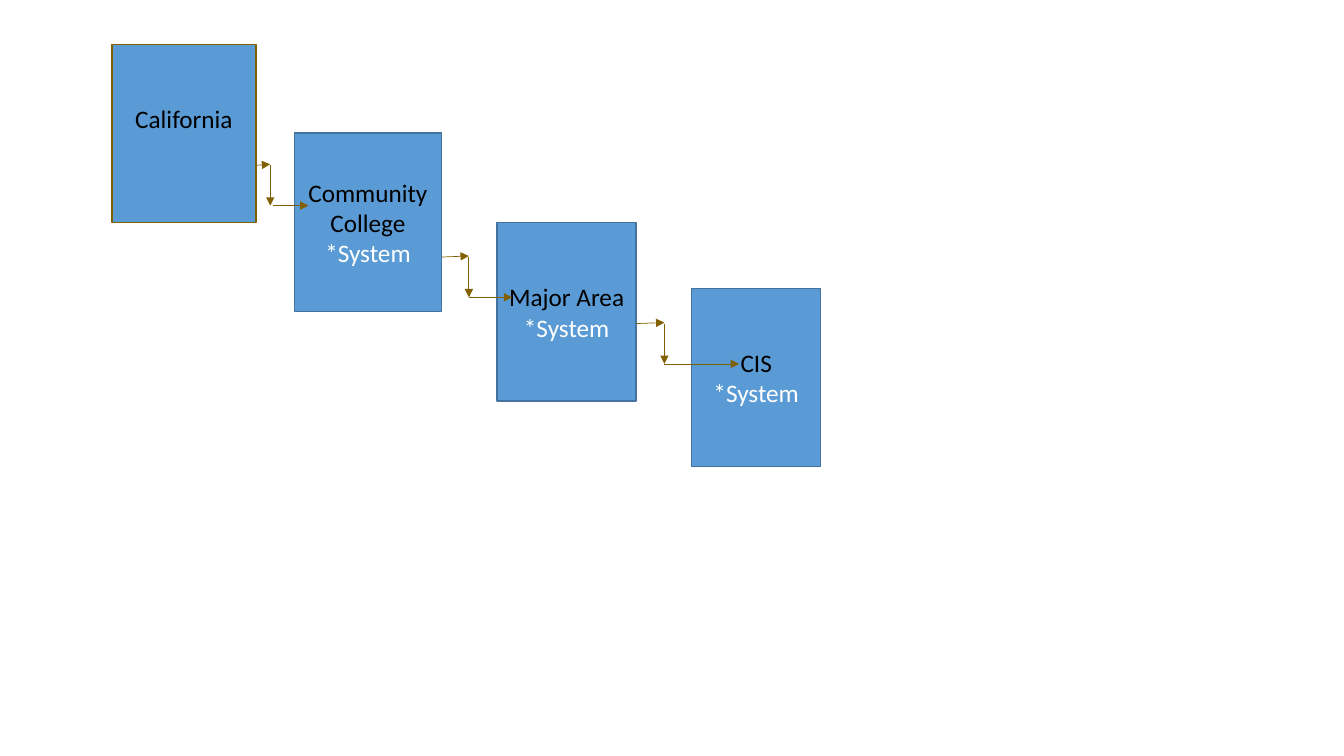
from lxml.etree import SubElement
from pptx import Presentation
from pptx.dml.color import RGBColor
from pptx.enum.shapes import MSO_CONNECTOR, MSO_SHAPE
from pptx.enum.text import MSO_ANCHOR, PP_ALIGN
from pptx.oxml.ns import qn
from pptx.util import Inches, Pt

BLUE, NAVY, BROWN = "5B9BD5", "43739E", "806000"
BLACK, WHITE = "000000", "FFFFFF"
LEVEL_HEIGHT = 1.77

# Name, left, top, width, outline, second line, bottom inset
LEVELS = [
    ("California", 1.11, 0.44, 1.43, BROWN, None, 0.35),
    ("Community College", 2.92, 1.32, 1.46, NAVY, "*System", 0.05),
    ("Major Area", 4.93, 2.21, 1.38, NAVY, "*System", 0.05),
    ("CIS", 6.86, 2.86, 1.28, NAVY, "*System", 0.05),
]

# Start x, start y, corner x, start of last leg x, tip x
STEPS = [
    (4.38, 2.55, 4.65, 4.65, 5.08),
    (6.31, 3.21, 6.59, 6.59, 7.33),
    (2.54, 1.64, 2.68, 2.71, 3.06),
]
STEP_RISE, STEP_DROP = 0.01, 0.4


def color(hex_string):
    return RGBColor.from_string(hex_string)


def add_line_of_text(paragraph, text, text_color):
    paragraph.alignment = PP_ALIGN.CENTER
    run = paragraph.add_run()
    run.text = text
    run.font.name = "Calibri"
    run.font.size = Pt(18)
    run.font.color.rgb = color(text_color)


def add_level(slide, name, left, top, width, outline, note, bottom_inset):
    level = slide.shapes.add_shape(
        MSO_SHAPE.RECTANGLE,
        Inches(left), Inches(top), Inches(width), Inches(LEVEL_HEIGHT))
    level.shadow.inherit = False
    level.fill.solid()
    level.fill.fore_color.rgb = color(BLUE)
    level.line.color.rgb = color(outline)
    level.line.width = Pt(1)
    frame = level.text_frame
    frame.word_wrap = True
    frame.vertical_anchor = MSO_ANCHOR.MIDDLE
    frame.margin_bottom = Inches(bottom_inset)
    add_line_of_text(frame.paragraphs[0], name, BLACK)
    if note:
        add_line_of_text(frame.add_paragraph(), note, WHITE)


def add_arrow(slide, x1, y1, x2, y2):
    arrow = slide.shapes.add_connector(
        MSO_CONNECTOR.STRAIGHT,
        Inches(x1), Inches(y1), Inches(x2), Inches(y2))
    arrow.line.color.rgb = color(BROWN)
    arrow.line.width = Pt(0.5)
    properties = arrow._element.spPr
    SubElement(properties.find(qn("a:ln")), qn("a:tailEnd"), type="triangle")
    SubElement(properties, qn("a:effectLst"))


def add_step(slide, start_x, start_y, corner_x, last_x, tip_x):
    """Three arrows: out of one level, down, and into the next."""
    end_y = start_y + STEP_DROP
    add_arrow(slide, start_x, start_y, corner_x, start_y - STEP_RISE)
    add_arrow(slide, corner_x, start_y, corner_x, end_y)
    add_arrow(slide, last_x, end_y, tip_x, end_y)


def main():
    deck = Presentation()
    deck.slide_width, deck.slide_height = Inches(13.33), Inches(7.5)
    slide = deck.slides.add_slide(deck.slide_layouts[6])
    # Levels of the hierarchy
    for level in LEVELS:
        add_level(slide, *level)
    # Steps between them
    for step in STEPS:
        add_step(slide, *step)
    deck.save("out.pptx")


if __name__ == "__main__":
    main()
